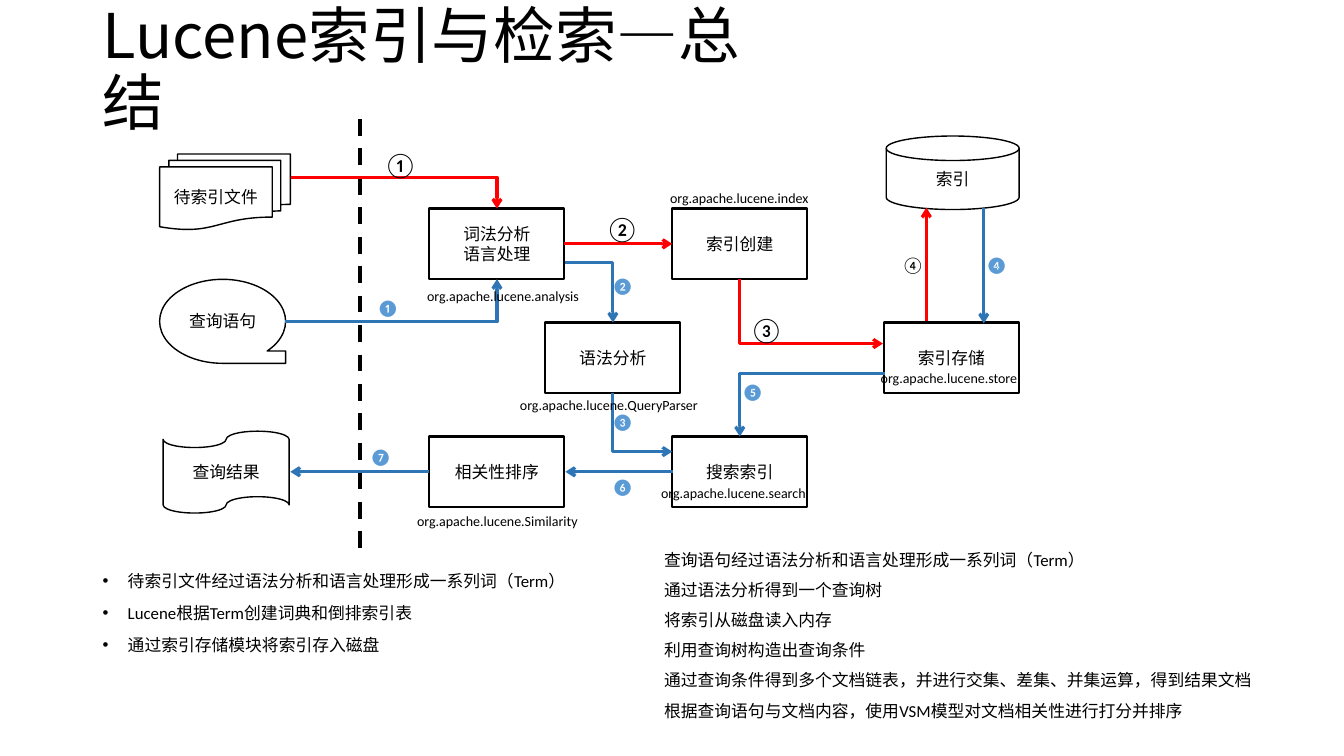
from lxml.etree import SubElement
from pptx import Presentation
from pptx.dml.color import RGBColor
from pptx.enum.dml import MSO_LINE
from pptx.enum.shapes import MSO_CONNECTOR, MSO_SHAPE
from pptx.enum.text import MSO_ANCHOR, PP_ALIGN
from pptx.oxml.ns import qn
from pptx.util import Pt

BLACK, RED, BLUE, PALE = "000000", "FF0000", "2E75B6", "5B9BD5"
HAN = "Noto Sans CJK SC"


def color(code):
    return RGBColor.from_string(code)


def write(shape, lines, size=12, font="Calibri", ink=BLACK, align=PP_ALIGN.LEFT,
          anchor=MSO_ANCHOR.TOP, wrap=True, lead=None, gap=None, bullet=None):
    frame = shape.text_frame
    frame.word_wrap = wrap
    frame.vertical_anchor = anchor
    for i, line in enumerate(lines):
        para = frame.paragraphs[0] if i == 0 else frame.add_paragraph()
        para.alignment = align
        if lead:
            para.line_spacing = lead
        if gap:
            para.space_before = Pt(gap)
        if bullet:
            props = para._p.get_or_add_pPr()
            props.set("marL", str(Pt(18)))
            props.set("indent", str(-Pt(18)))
            SubElement(props, qn("a:buFont"), typeface="Arial")
            SubElement(props, qn("a:buChar"), char=bullet)
        run = para.add_run()
        run.text = line
        run.font.size = Pt(size)
        run.font.name = font
        run.font.color.rgb = color(ink)
        SubElement(run._r.get_or_add_rPr(), qn("a:ea"), typeface=HAN)


def label(slide, box, lines, **style):
    shape = slide.shapes.add_textbox(*map(Pt, box))
    write(shape, lines, **style)


def node(slide, kind, box, lines, width=1.0):
    shape = slide.shapes.add_shape(kind, *map(Pt, box))
    shape.shadow.inherit = False
    shape.fill.background()
    shape.line.color.rgb = color(BLACK)
    shape.line.width = Pt(width)
    write(shape, lines, align=PP_ALIGN.CENTER, anchor=MSO_ANCHOR.MIDDLE)


def link(slide, start, end, ink, width=2.25, bend=None, tip=True):
    """bend names the direction of the first leg: "across" or "down"."""
    # A corner always leaves its first point sideways, so "down" is run backwards.
    back = bend == "down"
    first, last = (end, start) if back else (start, end)
    kind = MSO_CONNECTOR.ELBOW if bend else MSO_CONNECTOR.STRAIGHT
    wire = slide.shapes.add_connector(kind, *map(Pt, first + last))
    props = wire._element.spPr
    if bend:
        props.find(qn("a:prstGeom")).set("prst", "bentConnector2")
    wire.line.color.rgb = color(ink)
    wire.line.width = Pt(width)
    if tip:
        side = "a:headEnd" if back else "a:tailEnd"
        SubElement(wire.line._get_or_add_ln(), qn(side), type="arrow")
    SubElement(props, qn("a:effectLst"))
    return wire


def flow(slide, box):
    left, top, _, high = box

    def at(x, y):
        return left + x, top + y

    # Inputs, result and index
    for kind, x, y, w, h, name in [
        (MSO_SHAPE.FLOWCHART_MULTIDOCUMENT, 0, 25, 93.5, 54, "待索引文件"),
        (MSO_SHAPE.FLOWCHART_PUNCHED_TAPE, 2.5, 223, 90, 58.5, "查询结果"),
        (MSO_SHAPE.FLOWCHART_SEQUENTIAL_ACCESS_STORAGE, 0, 114.5, 90, 60, "查询语句"),
        (MSO_SHAPE.FLOWCHART_MAGNETIC_DISK, 519, 12.2, 95, 52.5, "索引"),
    ]:
        node(slide, kind, at(x, y) + (w, h), [name])

    # Divider
    rule = link(slide, at(143, 0), at(143, high), BLACK, width=3, tip=False)
    rule.line.dash_style = MSO_LINE.DASH

    # Process steps, in three rows
    for x, row, lines in [
        (192.7, 0, ["词法分析", "语言处理"]),
        (366.2, 0, ["索引创建"]),
        (275.5, 1, ["语法分析"]),
        (192.7, 2, ["相关性排序"]),
        (366.2, 2, ["搜索索引"]),
        (517.4, 1, ["索引存储"]),
    ]:
        spot = at(x, 64 + 81.4 * row) + (96.5, 50.4)
        node(slide, MSO_SHAPE.RECTANGLE, spot, lines, width=1.5)

    # Arrows: red builds the index, blue runs the query
    for x1, y1, x2, y2, ink, bend in [
        (94, 41.7, 241, 64, RED, "across"),
        (289.2, 89.2, 366.2, 89.2, RED, None),
        (414.5, 114.4, 516.7, 160.5, RED, "down"),
        (547.7, 144, 547.7, 63.3, RED, None),
        (588.7, 63.3, 588.7, 146, BLUE, None),
        (518.2, 182, 414.5, 226.8, BLUE, "across"),
        (289.9, 102.7, 323.8, 145.4, BLUE, "across"),
        (323.8, 195.8, 366.2, 237.6, BLUE, "down"),
        (367, 252, 289.9, 252, BLUE, None),
        (192.7, 252, 93.4, 252, BLUE, None),
        (89.8, 144.7, 241, 114.4, BLUE, "across"),
    ]:
        link(slide, at(x1, y1), at(x2, y2), ink, bend=bend)

    # Step numbers
    for x, y, mark, size, ink in [
        (153.1, 18, "①", 18, BLACK),
        (311.5, 64, "②", 18, BLACK),
        (414.5, 136, "③", 18, BLACK),
        (523.2, 93.6, "④", 12, BLACK),
        (148.1, 123.8, "❶", 12, PALE),
        (143, 230.4, "❼", 12, PALE),
        (315.8, 108.7, "❷", 12, PALE),
        (315.8, 205.9, "❸", 12, PALE),
        (583, 93.6, "❹", 12, PALE),
        (408.7, 184.3, "❺", 12, PALE),
        (315.8, 252, "❻", 12, PALE),
    ]:
        label(slide, at(x, y) + (25.2, size * 1.6), [mark], size=size, ink=ink)

    # Package names
    for x, y, w, name in [
        (184, 116.6, 126.7, "analysis"),
        (357.6, 46.8, 127.4, "index"),
        (250.3, 195, 154.8, "QueryParser"),
        (351.1, 257.7, 126.7, "search"),
        (508, 175.6, 126.7, "store"),
        (176.9, 277.2, 139, "Similarity"),
    ]:
        label(slide, at(x, y) + (w, 19.4), ["org.apache.lucene." + name], size=10)


def notes(slide, box):
    left, top, wide, high = box
    # Indexing
    label(slide, (left, top + 23.8, 355, 81.4), [
        "待索引文件经过语法分析和语言处理形成一系列词（Term）",
        "Lucene根据Term创建词典和倒排索引表",
        "通过索引存储模块将索引存入磁盘",
    ], lead=0.9, gap=10, bullet="•")
    # Searching
    label(slide, (left + wide - 484.6, top, 484.6, high), [
        "查询语句经过语法分析和语言处理形成一系列词（Term）",
        "通过语法分析得到一个查询树",
        "将索引从磁盘读入内存",
        "利用查询树构造出查询条件",
        "通过查询条件得到多个文档链表，并进行交集、差集、并集运算，得到结果文档",
        "根据查询语句与文档内容，使用VSM模型对文档相关性进行打分并排序",
    ], lead=1.5)


def main():
    deck = Presentation()
    deck.slide_width, deck.slide_height = Pt(960), Pt(540)
    slide = deck.slides.add_slide(deck.slide_layouts[6])
    label(slide, (66.2, 18.7, 481.7, 65.5), ["Lucene索引与检索—总结"], size=44,
          font=HAN, anchor=MSO_ANCHOR.MIDDLE, lead=0.9)
    flow(slide, (114, 85, 614, 314))
    notes(slide, (66.2, 381.6, 885.7, 136.8))
    deck.save("out.pptx")


if __name__ == "__main__":
    main()
